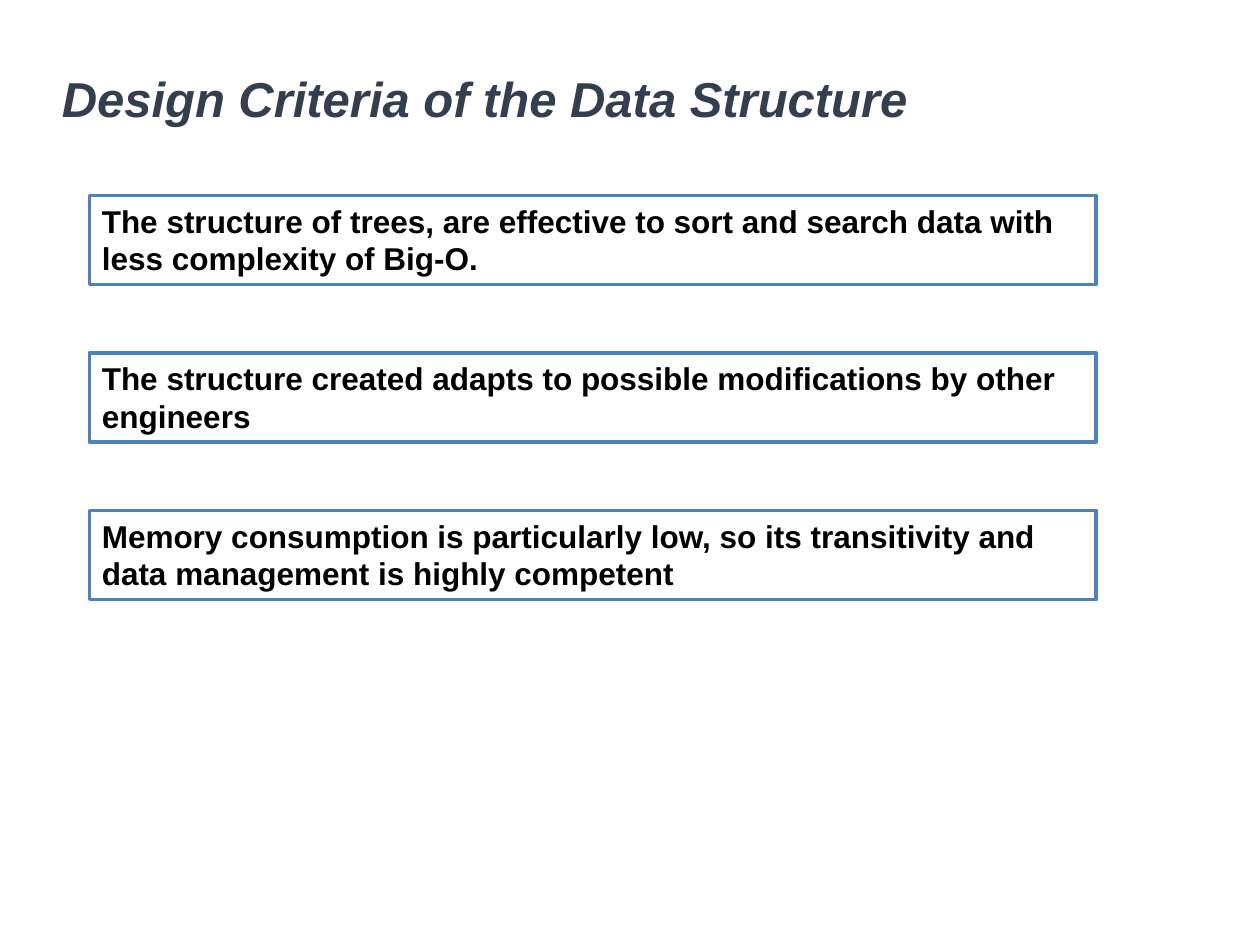
from pptx import Presentation
from pptx import util as u
from pptx.dml import color
from pptx.enum import shapes, text

WIDTH, HEIGHT = 10, 7.5
COLUMNS, ROWS = 100, 75


def hex_color(value):
    return color.RGBColor.from_string(value)


def write(frame, words, size=18, fill="000000", font="Arial", bold=True,
          italic=False, spacing=1.0, anchor=text.MSO_ANCHOR.TOP):
    frame.word_wrap = True
    frame.vertical_anchor = anchor
    frame.margin_left = frame.margin_right = u.Inches(0.1)
    frame.margin_top = frame.margin_bottom = u.Inches(0.05)
    paragraph = frame.paragraphs[0]
    paragraph.alignment = text.PP_ALIGN.LEFT
    paragraph.line_spacing = spacing
    run = paragraph.add_run()
    run.text = words
    run.font.name = font
    run.font.size = u.Pt(size)
    run.font.bold = bold
    run.font.italic = italic
    run.font.color.rgb = hex_color(fill)


class SlideBuilder:
    title_color = "333F4F"
    box_fill = "FFFFFF"
    box_line = "4F81BD"

    def __init__(self, slide):
        self.slide = slide

    def area(self, column, row, columns, rows):
        across, down = WIDTH / COLUMNS, HEIGHT / ROWS
        return [u.Inches(length) for length in
                (column * across, row * down, columns * across, rows * down)]

    def title(self, words, *cells):
        title = self.slide.shapes.title
        title.left, title.top, title.width, title.height = self.area(*cells)
        write(title.text_frame, words, size=28, fill=self.title_color,
              italic=True, spacing=0.9, anchor=text.MSO_ANCHOR.MIDDLE)
        title.text_frame.auto_size = text.MSO_AUTO_SIZE.NONE

    def box(self, words, *cells):
        box = self.slide.shapes.add_shape(
            shapes.MSO_SHAPE.RECTANGLE, *self.area(*cells))
        box.shadow.inherit = False
        box.fill.solid()
        box.fill.fore_color.rgb = hex_color(self.box_fill)
        box.line.color.rgb = hex_color(self.box_line)
        box.line.width = u.Pt(2)
        write(box.text_frame, words)
        box.text_frame.auto_size = text.MSO_AUTO_SIZE.SHAPE_TO_FIT_TEXT


presentation = Presentation()
presentation.slide_width = u.Inches(WIDTH)
presentation.slide_height = u.Inches(HEIGHT)
title_only = presentation.slide_layouts[5]
builder = SlideBuilder(presentation.slides.add_slide(title_only))

builder.title("Design Criteria of the Data Structure", 3.9, 4.7, 86.2, 6.7)
criteria = [
    "The structure of trees, are effective to sort and search data with "
    "less complexity of Big-O.",
    "The structure created adapts to possible modifications by other engineers",
    "Memory consumption is particularly low, so its transitivity and "
    "data management is highly competent",
]
for index, criterion in enumerate(criteria):
    builder.box(criterion, 7.1, 15.5 + 12.5 * index, 79.9, 7.1)

presentation.save("out.pptx")
